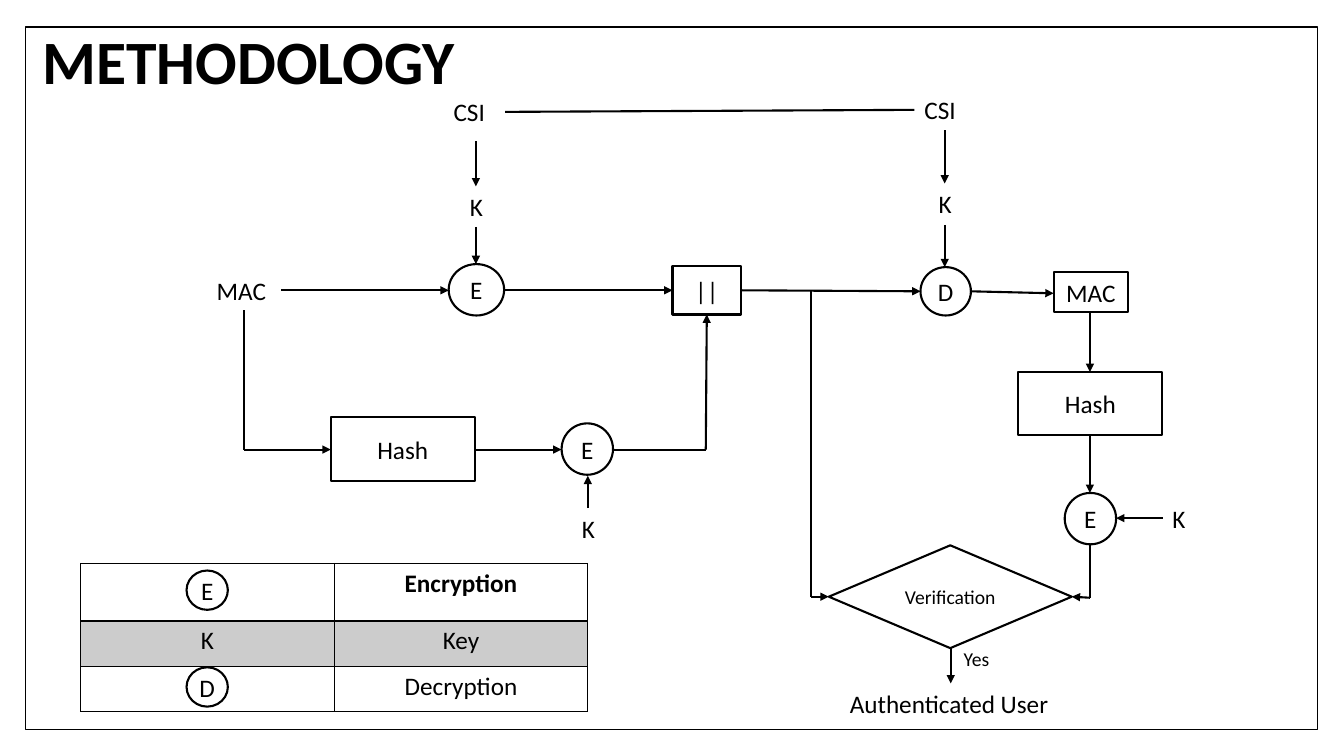
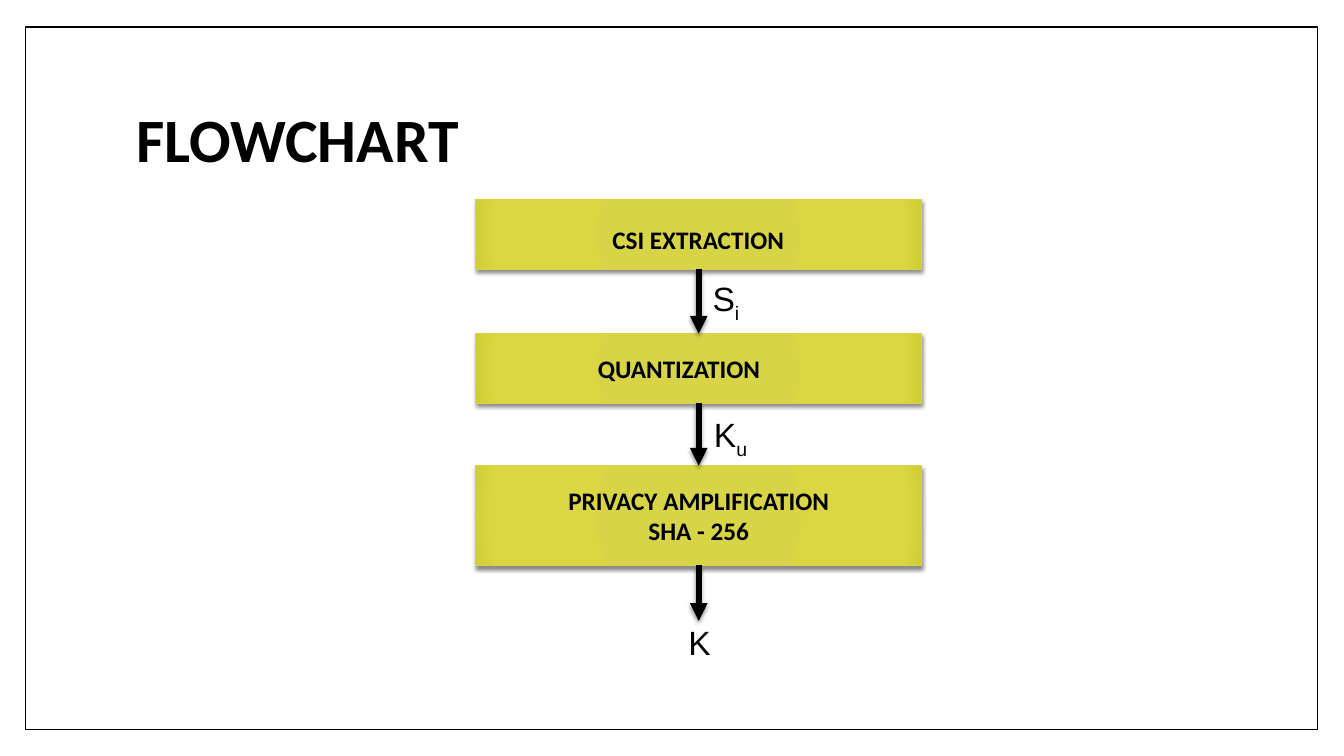
from dataclasses import dataclass
from itertools import pairwise

from lxml import etree
from pptx import Presentation
from pptx.dml.color import RGBColor
from pptx.enum.shapes import MSO_CONNECTOR as Connector
from pptx.enum.shapes import MSO_SHAPE as Preset
from pptx.enum.text import MSO_ANCHOR as Anchor
from pptx.enum.text import MSO_AUTO_SIZE as AutoSize
from pptx.enum.text import PP_ALIGN as Align
from pptx.oxml import parse_xml
from pptx.oxml.ns import nsdecls, qn
from pptx.util import Inches, Pt

BLACK, WHITE, GREY, OLIVE = "000000", "FFFFFF", "CCCCCC", "D7D447"
OLIVE_STOPS = ((0, OLIVE), (90, "DBD743"), (100, "D0CD33"))
Point = tuple[float, float]
Box = tuple[float, float, float, float]


@dataclass(frozen=True)
class Style:
    size: float = 18
    bold: bool = False
    font: str = "Calibri"


@dataclass(frozen=True)
class Node:
    text: str
    box: Box
    preset: Preset = Preset.RECTANGLE
    style: Style = Style()
    line_width: float = 1.5


@dataclass(frozen=True)
class Label:
    text: str
    box: Box
    align: Align = Align.LEFT
    style: Style = Style()
    subscript: str = ""
    inset: float = 0.1


@dataclass(frozen=True)
class Route:
    points: tuple[Point, ...]
    arrow: bool = True
    width: float = 1.5
    shadow: bool = False


def rgb(code: str) -> RGBColor:
    return RGBColor.from_string(code)


def inches(box: Box) -> list[Inches]:
    return [Inches(length) for length in box]


def add_run(paragraph, text: str, style: Style):
    run = paragraph.add_run()
    run.text = text
    run.font.name = style.font
    run.font.size = Pt(style.size)
    run.font.bold = style.bold
    run.font.color.rgb = rgb(BLACK)
    return run


def write(frame, text: str, style: Style, align: Align, subscript: str = "") -> None:
    for index, line in enumerate(text.split("\n")):
        paragraph = frame.add_paragraph() if index else frame.paragraphs[0]
        paragraph.alignment = align
        add_run(paragraph, line, style)
        if subscript:
            lowered = add_run(paragraph, subscript, style)
            lowered.font._element.set("baseline", "-25000")


def add_effects(properties, shadow: bool) -> None:
    for effects in properties.findall(qn("a:effectLst")):
        properties.remove(effects)
    drop = (
        '<a:outerShdw blurRad="38100" dist="25400" dir="5400000" rotWithShape="0">'
        f'<a:srgbClr val="{BLACK}"><a:alpha val="45000"/></a:srgbClr></a:outerShdw>'
    )
    properties.append(parse_xml(
        f'<a:effectLst {nsdecls("a")}>{drop if shadow else ""}</a:effectLst>'))


def draw_node(slide, node: Node):
    shape = slide.shapes.add_shape(node.preset, *inches(node.box))
    shape.shadow.inherit = False
    shape.fill.solid()
    shape.fill.fore_color.rgb = rgb(WHITE)
    shape.line.color.rgb = rgb(BLACK)
    shape.line.width = Pt(node.line_width)
    frame = shape.text_frame
    frame.vertical_anchor = Anchor.MIDDLE
    if node.preset == Preset.OVAL:
        frame.margin_left = frame.margin_right = 0
    if node.text:
        write(frame, node.text, node.style, Align.CENTER)
    return shape


def draw_step(slide, step: Node) -> None:
    shape = draw_node(slide, step)
    shape.line.color.rgb = rgb(OLIVE)
    stops = "".join(
        f'<a:gs pos="{position * 1000}"><a:srgbClr val="{code}"/></a:gs>'
        for position, code in OLIVE_STOPS)
    gradient = parse_xml(
        f'<a:gradFill {nsdecls("a")} rotWithShape="1"><a:gsLst>{stops}</a:gsLst>'
        '<a:path path="circle"><a:fillToRect l="100000" t="100000" r="100000" b="100000"/>'
        '</a:path></a:gradFill>')
    properties = shape.element.spPr
    properties.replace(properties.find(qn("a:solidFill")), gradient)
    add_effects(properties, shadow=True)


def draw_label(slide, label: Label) -> None:
    frame = slide.shapes.add_textbox(*inches(label.box)).text_frame
    frame.word_wrap = True
    frame.margin_left = Inches(label.inset)
    write(frame, label.text, label.style, label.align, label.subscript)


def draw_route(slide, route: Route) -> None:
    legs = list(pairwise(route.points))
    for index, (start, end) in enumerate(legs, 1):
        leg = slide.shapes.add_connector(Connector.STRAIGHT, *inches((*start, *end)))
        leg.line.color.rgb = rgb(BLACK)
        leg.line.width = Pt(route.width)
        properties = leg.element.spPr
        if route.arrow and index == len(legs):
            etree.SubElement(properties.find(qn("a:ln")), qn("a:tailEnd"), type="triangle")
        add_effects(properties, route.shadow)


def add_border(cell, side: str, width: float) -> None:
    cell._tc.get_or_add_tcPr().append(parse_xml(
        f'<a:{side} {nsdecls("a")} w="{Pt(width)}"><a:solidFill>'
        f'<a:srgbClr val="{BLACK}"/></a:solidFill></a:{side}>'))


def draw_legend(slide, box: Box, heights: tuple[float, ...],
                rows: tuple[tuple[str, str], ...]) -> None:
    legend = slide.shapes.add_table(len(rows), 2, *inches(box)).table
    legend.first_row = legend.horz_banding = False
    for row, (height, texts) in enumerate(zip(heights, rows)):
        legend.rows[row].height = Inches(height)
        for column, text in enumerate(texts):
            cell = legend.cell(row, column)
            for side in ("lnL", "lnR", "lnT", "lnB"):
                heavy = (row, side) in ((0, "lnB"), (1, "lnT"))
                add_border(cell, side, 2 if heavy else 1)
            cell.fill.solid()
            cell.fill.fore_color.rgb = rgb(GREY if row == 1 else WHITE)
            if text:
                write(cell.text_frame, text, Style(bold=row == 0), Align.CENTER)


def add_titled_slide(deck, layout, title: str, left: float, top: float):
    slide = deck.slides.add_slide(layout)
    heading = slide.shapes.title
    heading.left, heading.top, heading.width, heading.height = inches((left, top, 10.8, 1.48))
    frame = heading.text_frame
    frame.auto_size = AutoSize.NONE
    frame.vertical_anchor = Anchor.MIDDLE
    write(frame, title, Style(44, bold=True), Align.LEFT)
    frame.paragraphs[0].line_spacing = 0.9
    return slide


def build_methodology(slide) -> None:
    oval = Preset.OVAL
    small = Style(14)
    nodes = (
        Node("Hash", (3.28, 4.14, 1.43, 0.63)),
        Node("E", (5.57, 4.2, 0.51, 0.51), oval),
        Node("||", (6.67, 2.64, 0.68, 0.48)),
        Node("D", (9.13, 2.65, 0.5, 0.48), oval),
        Node("MAC", (10.45, 2.7, 0.74, 0.4)),
        Node("Hash", (10.1, 3.69, 1.43, 0.63)),
        Node("E", (10.56, 4.89, 0.51, 0.51), oval),
        Node("Verification", (8.22, 5.41, 2.41, 1.02), Preset.FLOWCHART_DECISION, small),
        Node("E", (4.45, 2.62, 0.55, 0.51), oval),
    )
    routes = (
        Route(((2.79, 2.88), (4.45, 2.88))),
        Route(((5, 2.88), (6.67, 2.88))),
        Route(((2.42, 3.08), (2.42, 4.46), (3.28, 4.46))),
        Route(((4.71, 4.46), (5.57, 4.46))),
        Route(((6.08, 4.46), (7, 4.46), (7.01, 3.12))),
        Route(((7.35, 2.88), (9.13, 2.89))),
        Route(((9.62, 2.89), (10.45, 2.91))),
        Route(((10.81, 3.11), (10.81, 3.69))),
        Route(((10.81, 4.32), (10.81, 4.89))),
        Route(((10.81, 5.4), (10.81, 5.93), (10.63, 5.92))),
        Route(((8.04, 2.88), (8.04, 5.92), (8.22, 5.92))),
        Route(((9.43, 6.43), (9.43, 6.78))),
        Route(((5.01, 1.11), (9.07, 1.09)), arrow=False),
        Route(((4.72, 1.4), (4.72, 1.85))),
        Route(((4.72, 2.25), (4.72, 2.62))),
        Route(((9.37, 1.29), (9.37, 1.82))),
        Route(((9.37, 2.23), (9.37, 2.65))),
        Route(((11.53, 5.14), (11.07, 5.14))),
        Route(((5.83, 5.04), (5.83, 4.72))),
    )
    labels = (
        Label("MAC", (2.05, 2.68, 0.74, 0.4)),
        Label("CSI", (4.4, 0.91, 0.61, 0.4)),
        Label("CSI", (9.07, 0.89, 0.61, 0.4)),
        Label("K", (4.35, 1.85, 0.75, 0.4), Align.CENTER),
        Label("K", (9, 1.82, 0.75, 0.4), Align.CENTER),
        Label("K", (5.46, 5.04, 0.75, 0.4), Align.CENTER),
        Label("K", (11.53, 4.94, 0.75, 0.4)),
        Label("Authenticated User", (8.33, 6.78, 2.49, 0.4)),
        Label("Yes", (9.46, 6.37, 1.1, 0.34), style=small),
    )
    for node in nodes:
        draw_node(slide, node)
    for route in routes:
        draw_route(slide, route)
    for label in labels:
        draw_label(slide, label)
    draw_legend(slide, (0.8, 5.59, 5.03, 1.46), (0.57, 0.45, 0.45),
                (("", "Encryption"), ("K", "Key"), ("", "Decryption")))
    for symbol, top in (("E", 5.66), ("D", 6.62)):
        draw_node(slide, Node(symbol, (1.85, top, 0.41, 0.39), oval))


def build_flowchart(slide) -> None:
    bold = Style(bold=True)
    symbol = Style(24, font="Arial")
    center = 6.93
    steps = [
        Node(text, (4.72, top, 4.42, height), style=bold, line_width=0.79)
        for text, top, height in (
            ("", 1.98, 0.69),
            ("", 3.31, 0.69),
            ("PRIVACY AMPLIFICATION\nSHA - 256", 4.62, 0.99),
        )
    ]
    labels = (
        Label("CSI EXTRACTION", (5.08, 2.18, 3.69, 0.4), Align.CENTER, bold),
        Label("QUANTIZATION", (5.33, 3.46, 3.63, 0.4), style=bold, inset=0.6),
        Label("S", (6.67, 2.71, 1.06, 0.5), Align.CENTER, symbol, "i"),
        Label("K", (6.64, 4.06, 1.21, 0.5), Align.CENTER, symbol, "u"),
        Label("K", (6.41, 6.12, 1.06, 0.5), Align.CENTER, symbol),
    )
    for step in steps:
        draw_step(slide, step)
    arrow_ends = [step.box[1] for step in steps[1:]] + [6.16]
    for step, end in zip(steps, arrow_ends):
        start = step.box[1] + step.box[3]
        draw_route(slide, Route(((center, start), (center, end)), width=4.25, shadow=True))
    for label in labels:
        draw_label(slide, label)


def main() -> None:
    deck = Presentation()
    deck.slide_width, deck.slide_height = Inches(13.33), Inches(7.5)
    layout = deck.slide_layouts[5]
    methodology = add_titled_slide(deck, layout, "METHODOLOGY", 0.32, -0.1)
    border = draw_node(methodology, Node("", (0.25, 0.27, 12.82, 6.97), line_width=1))
    layout.shapes.element.insert(2, border.element)
    build_methodology(methodology)
    build_flowchart(add_titled_slide(deck, layout, "FLOWCHART", 1.25, 0.67))
    deck.save("out.pptx")


main()
